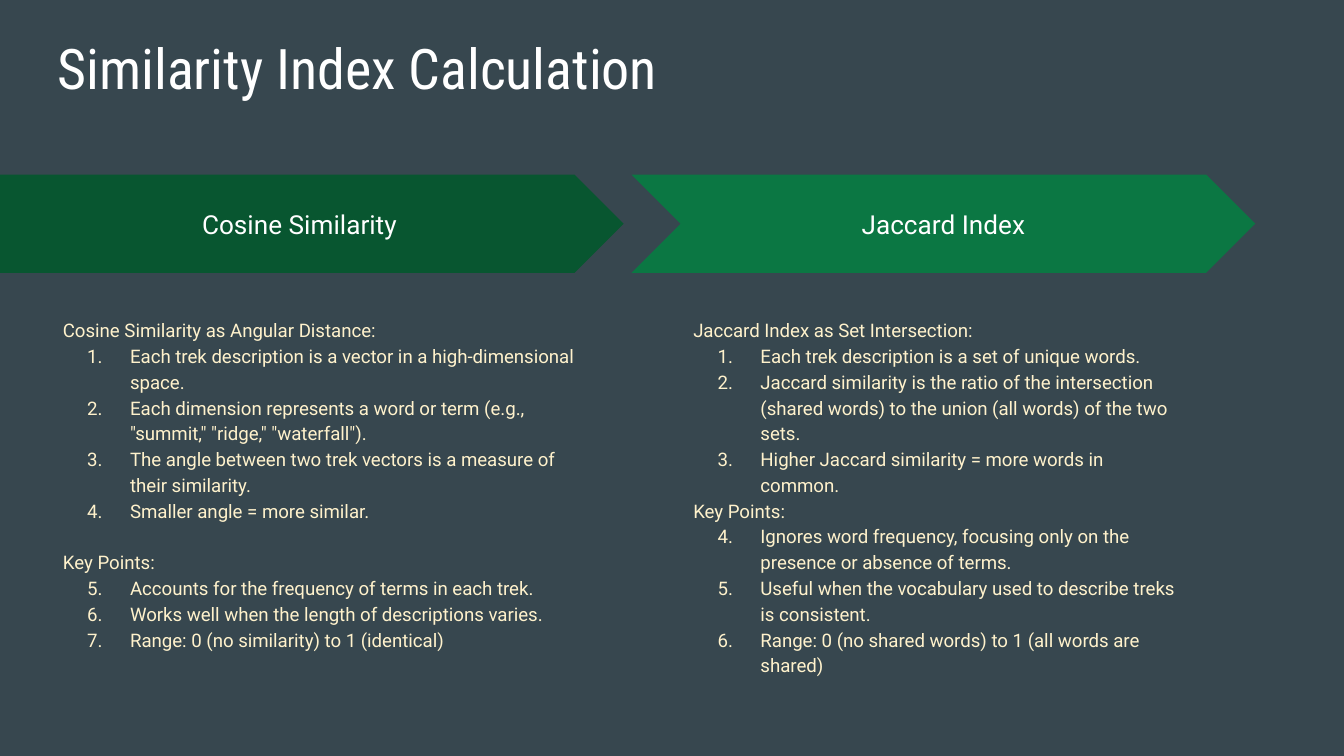
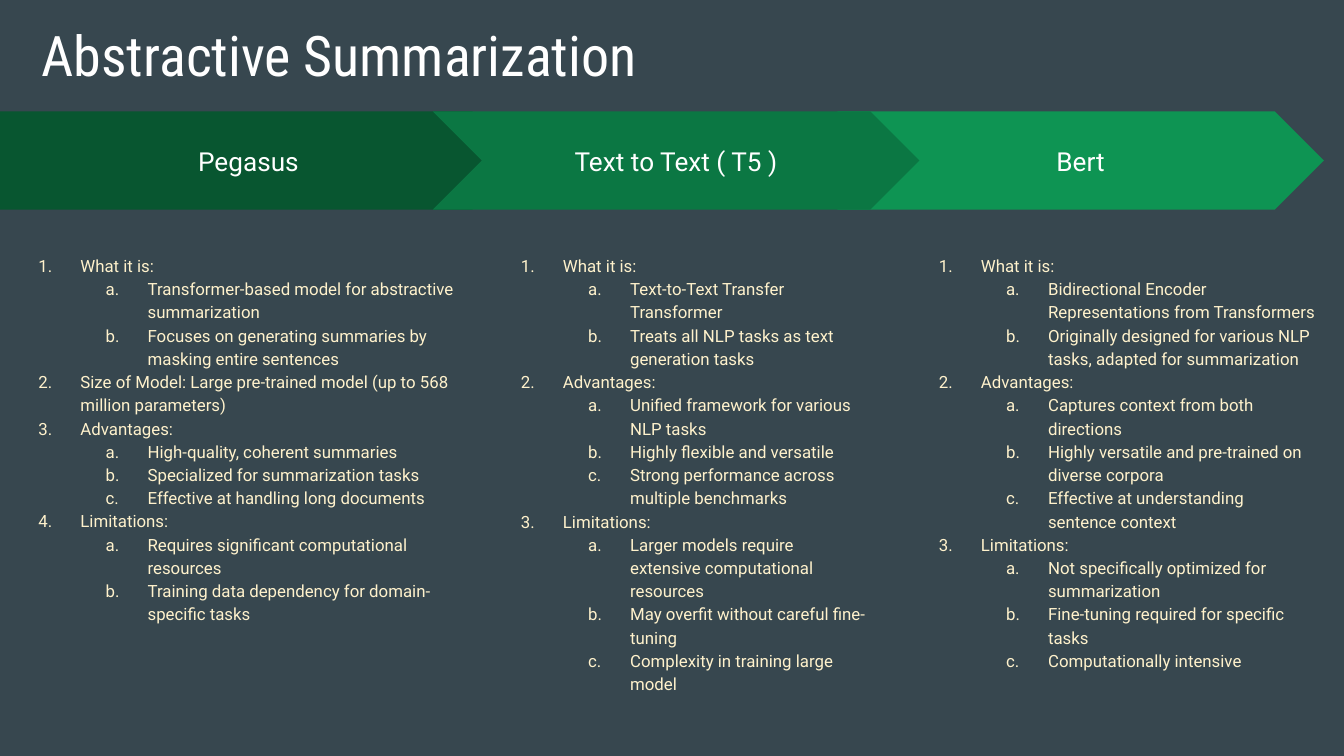
from dataclasses import dataclass

from lxml.etree import SubElement
from pptx import Presentation
from pptx.dml.color import RGBColor
from pptx.enum.shapes import MSO_SHAPE
from pptx.enum.text import MSO_ANCHOR, PP_ALIGN
from pptx.oxml.ns import qn
from pptx.util import Inches, Pt


@dataclass(frozen=True)
class Theme:
    background: str = "37474F"
    white: str = "FFFFFF"
    cream: str = "FFF2CC"
    dark_green: str = "085630"
    green: str = "0B7743"
    light_green: str = "0E9453"
    title_font: str = "Roboto Condensed"
    body_font: str = "Roboto"
    title_size: float = 30
    band_size: float = 14
    large_body: float = 10
    small_body: float = 9
    body_spacing: float = 1.15


@dataclass(frozen=True)
class Step:
    """One arrow of the band and the outline below it; lengths in grid cells."""
    label: str
    color: str
    left: float
    width: float
    body_left: float
    body_width: float
    body_height: float
    outline: list
    arrow: MSO_SHAPE = MSO_SHAPE.CHEVRON


THEME = Theme()
NUMBERS, LETTERS = "arabicPeriod", "alphaLcPeriod"
COLUMNS, ROWS = 100, 56.25
BAND_ROWS = 7.3
BODY_GAP = 2.2


def write(paragraph, text, *, size, color, font=THEME.body_font, align=None,
          spacing=None, before=None, depth=0, numbering=None):
    """Fill a paragraph; numbering is an auto-number scheme, depth its level."""
    run = paragraph.add_run()
    run.text = text
    run.font.name = font
    run.font.size = Pt(size)
    run.font.color.rgb = RGBColor.from_string(color)
    paragraph.alignment = align
    paragraph.line_spacing = spacing
    paragraph.space_before = before
    if numbering:
        paragraph.level = depth
        properties = paragraph._p.get_or_add_pPr()
        properties.set("marL", str(Inches(0.5) * (depth + 1)))
        properties.set("indent", str(-(Inches(0.25) + Pt(size) // 2)))
        marker_color = SubElement(properties, qn("a:buClr"))
        SubElement(marker_color, qn("a:srgbClr"), val=color)
        SubElement(properties, qn("a:buAutoNum"), type=numbering)


class Deck:
    def __init__(self, theme):
        self.theme = theme
        self.presentation = Presentation()
        self.presentation.slide_width = Inches(10)
        self.presentation.slide_height = Inches(5.625)
        self.slide = None

    def new_slide(self):
        blank = self.presentation.slide_layouts[6]
        self.slide = self.presentation.slides.add_slide(blank)
        fill = self.slide.background.fill
        fill.solid()
        fill.fore_color.rgb = RGBColor.from_string(self.theme.background)

    def place(self, left, top, width, height):
        """Turn grid cells into slide lengths."""
        column = self.presentation.slide_width / COLUMNS
        row = self.presentation.slide_height / ROWS
        return (round(left * column), round(top * row),
                round(width * column), round(height * row))

    def frame(self, shape, anchor):
        text_frame = shape.text_frame
        text_frame.word_wrap = True
        text_frame.vertical_anchor = anchor
        text_frame.margin_left = text_frame.margin_right = Inches(0.1)
        text_frame.margin_top = text_frame.margin_bottom = Inches(0.1)
        return text_frame

    def text_box(self, *cells):
        box = self.slide.shapes.add_textbox(*self.place(*cells))
        return self.frame(box, MSO_ANCHOR.TOP)

    def title(self, text, left, top):
        heading = self.text_box(left, top, 93.2, 6.3)
        write(heading.paragraphs[0], text, size=self.theme.title_size,
              color=self.theme.white, font=self.theme.title_font)

    def arrow(self, step, top):
        band = self.slide.shapes.add_shape(
            step.arrow, *self.place(step.left, top, step.width, BAND_ROWS))
        band.shadow.inherit = False
        band.fill.solid()
        band.fill.fore_color.rgb = RGBColor.from_string(step.color)
        band.line.fill.background()
        label = self.frame(band, MSO_ANCHOR.MIDDLE).paragraphs[0]
        write(label, step.label, size=self.theme.band_size,
              color=self.theme.white, align=PP_ALIGN.CENTER)

    def outline(self, step, top, size, schemes):
        """Write headings and points; schemes gives the numbering of each."""
        body = self.text_box(step.body_left, top, step.body_width, step.body_height)
        heading_scheme, point_scheme = schemes
        point_depth = 1 if heading_scheme else 0
        look = dict(size=size, color=self.theme.cream,
                    spacing=self.theme.body_spacing)
        paragraph = body.paragraphs[0]
        for index, (heading, points, *gap) in enumerate(step.outline):
            if index:
                paragraph = body.add_paragraph()
            write(paragraph, heading, numbering=heading_scheme,
                  before=Pt(gap[0]) if gap else None, **look)
            for point in points:
                write(body.add_paragraph(), point, depth=point_depth,
                      numbering=point_scheme, **look)

    def steps(self, steps, top, size, schemes):
        for step in steps:
            self.arrow(step, top)
            self.outline(step, top + BAND_ROWS + BODY_GAP, size, schemes)


COSINE = [
    ("Cosine Similarity as Angular Distance:", [
        "Each trek description is a vector in a high-dimensional space.",
        'Each dimension represents a word or term (e.g., "summit," "ridge," "waterfall").',
        "The angle between two trek vectors is a measure of their similarity.",
        "Smaller angle = more similar."]),
    ("Key Points:", [
        "Accounts for the frequency of terms in each trek.",
        "Works well when the length of descriptions varies.",
        "Range: 0 (no similarity) to 1 (identical)"], 13.8),
]
JACCARD = [
    ("Jaccard Index as Set Intersection:", [
        "Each trek description is a set of unique words.",
        "Jaccard similarity is the ratio of the intersection (shared words) "
        "to the union (all words) of the two sets.",
        "Higher Jaccard similarity = more words in common."]),
    ("Key Points:", [
        "Ignores word frequency, focusing only on the presence or absence of terms.",
        "Useful when the vocabulary used to describe treks is consistent.",
        "Range: 0 (no shared words) to 1 (all words are shared)"]),
]
PEGASUS = [
    ("What it is:", [
        "Transformer-based model for abstractive summarization",
        "Focuses on generating summaries by masking entire sentences"]),
    ("Size of Model: Large pre-trained model (up to 568 million parameters)", []),
    ("Advantages:", [
        "High-quality, coherent summaries",
        "Specialized for summarization tasks",
        "Effective at handling long documents"]),
    ("Limitations:", [
        "Requires significant computational resources",
        "Training data dependency for domain-specific tasks"]),
]
TEXT_TO_TEXT = [
    ("What it is:", [
        "Text-to-Text Transfer Transformer",
        "Treats all NLP tasks as text generation tasks"]),
    ("Advantages:", [
        "Unified framework for various NLP tasks",
        "Highly flexible and versatile",
        "Strong performance across multiple benchmarks"]),
    ("Limitations:", [
        "Larger models require extensive computational resources",
        "May overfit without careful fine-tuning",
        "Complexity in training large model"]),
]
BERT = [
    ("What it is:", [
        "Bidirectional Encoder Representations from Transformers",
        "Originally designed for various NLP tasks, adapted for summarization"]),
    ("Advantages:", [
        "Captures context from both directions",
        "Highly versatile and pre-trained on diverse corpora",
        "Effective at understanding sentence context"]),
    ("Limitations:", [
        "Not specifically optimized for summarization",
        "Fine-tuning required for specific tasks",
        "Computationally intensive"]),
]


def similarity_slide(deck):
    deck.new_slide()
    deck.title("Similarity Index Calculation", 3.3, 1.5)
    deck.steps([
        Step("Cosine Similarity", THEME.dark_green, 0, 46.4, 3.7, 40, 28.6,
             COSINE, MSO_SHAPE.PENTAGON),
        Step("Jaccard Index", THEME.green, 47, 46.4, 50.6, 37.9, 28.6, JACCARD),
    ], top=13, size=THEME.large_body, schemes=(None, NUMBERS))


def summarization_slide(deck):
    """The middle arrow comes last, so that it lies over both neighbours."""
    deck.new_slide()
    deck.title("Abstractive Summarization", 2.1, 0.5)
    deck.steps([
        Step("Bert", THEME.light_green, 62.3, 36.2, 67, 31.9, 37.8, BERT),
        Step("Pegasus", THEME.dark_green, 0, 38.8, 0, 34.9, 33.4,
             PEGASUS, MSO_SHAPE.PENTAGON),
        Step("Text to Text ( T5 )", THEME.green, 32.2, 36.2, 35.9, 29.5, 36.5,
             TEXT_TO_TEXT),
    ], top=8.3, size=THEME.small_body, schemes=(NUMBERS, LETTERS))


def main():
    deck = Deck(THEME)
    similarity_slide(deck)
    summarization_slide(deck)
    deck.presentation.save("out.pptx")


if __name__ == "__main__":
    main()
